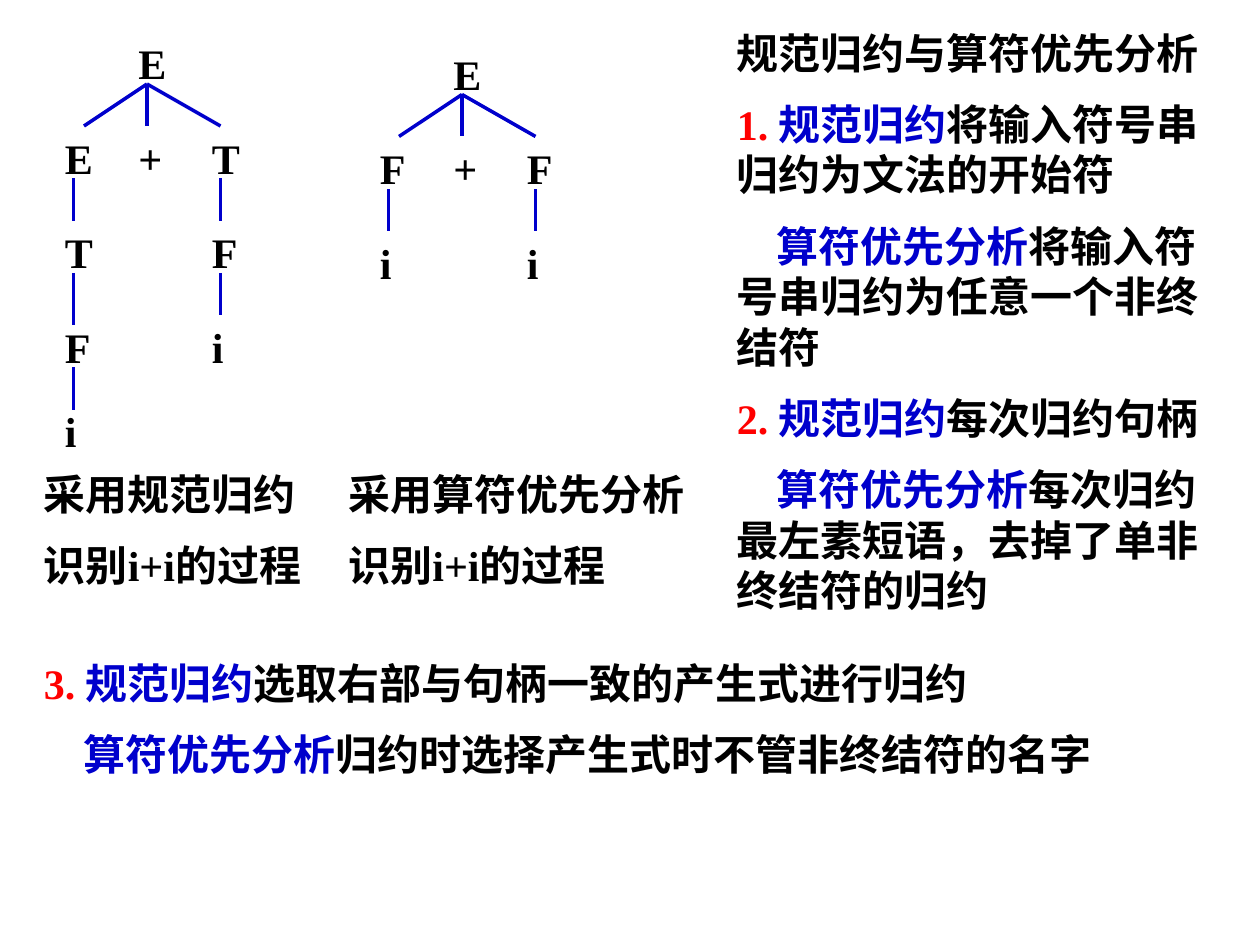
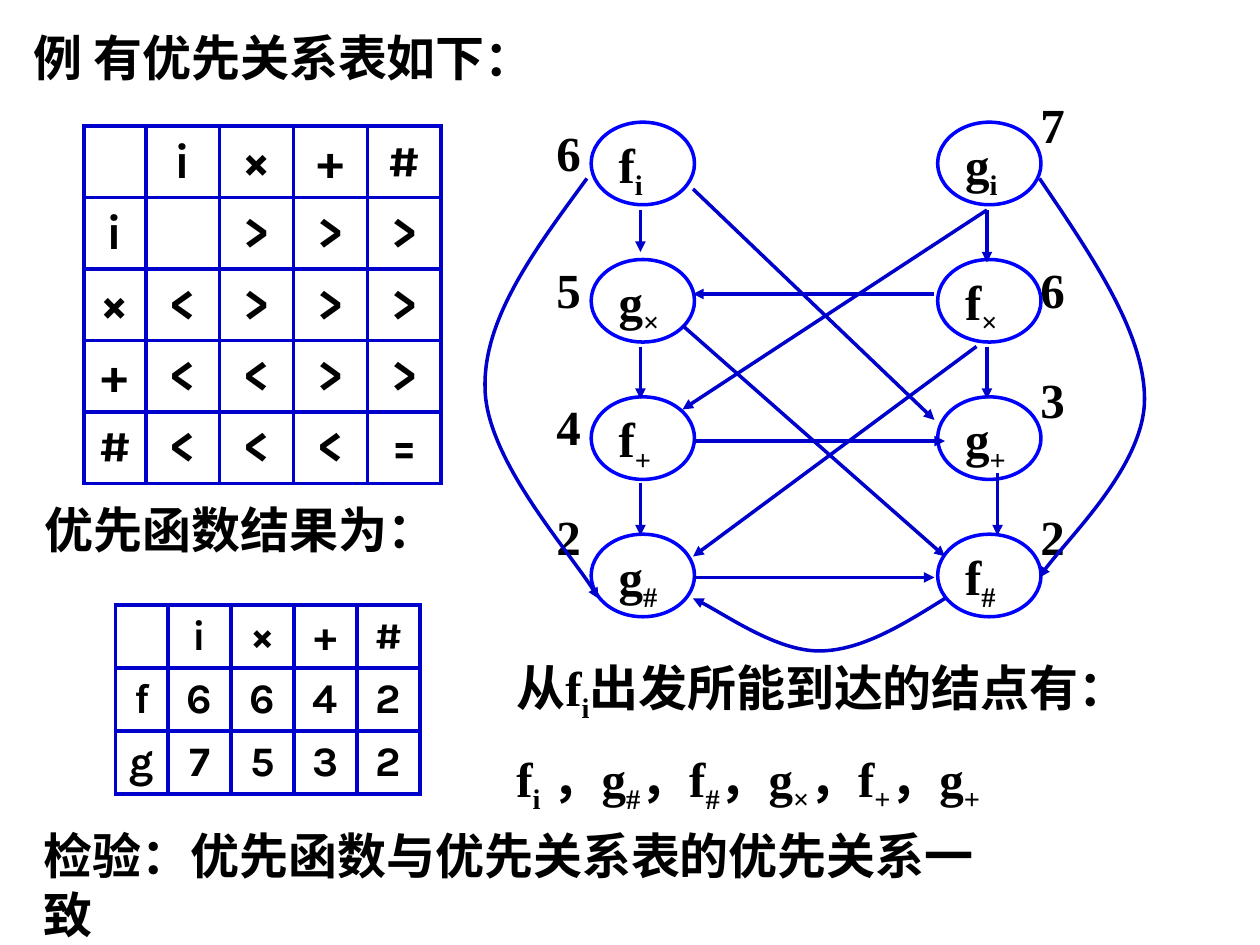
from dataclasses import dataclass
from typing import NamedTuple

from lxml.etree import SubElement
from pptx import Presentation
from pptx.dml.color import RGBColor
from pptx.enum.shapes import MSO_CONNECTOR, MSO_SHAPE
from pptx.enum.text import MSO_ANCHOR as Anchor, PP_ALIGN as Align
from pptx.oxml.ns import qn
from pptx.util import Inches, Pt


@dataclass(frozen=True)
class Theme:
    ink: str = "000000"
    accent: str = "0000CC"
    outline: str = "0000FF"
    number: str = "FF0000"
    serif: str = "Times New Roman"
    sans: str = "Arial"
    table_font: str = "Karla"
    body: int = 24
    large: int = 28
    stroke: float = 2
    border: float = 2.25


THEME = Theme()
COLUMNS, ROWS = 120, 90  # square grid, twelve units to the inch


class Point(NamedTuple):
    x: float
    y: float


class Box(NamedTuple):
    x: float
    y: float
    width: float
    height: float


class Run(NamedTuple):
    text: str
    color: str = THEME.ink
    subscript: bool = False
    font: str = THEME.serif


class Paragraph(NamedTuple):
    runs: list[Run]
    indent: float = 0


class Label(NamedTuple):
    text: str
    x: float
    y: float


class Segment(NamedTuple):
    start: Point
    end: Point


@dataclass(frozen=True)
class Tree:
    offset: Point
    labels: list[Label]
    branches: list[Segment]


@dataclass(frozen=True)
class Grid:
    x: float
    y: float
    first_width: float
    width: float
    row_height: float
    size: int
    rows: list[str]


def unit(count: float) -> int:
    return Inches(count / 12)


def place(box: Box) -> list[int]:
    return [unit(value) for value in box]


def plain(text: str) -> Paragraph:
    return Paragraph([Run(text)])


def point(number: str, subject: str, rest: str) -> Paragraph:
    """A comparison line: numbered, or indented when it has no number."""
    runs = [Run(subject, THEME.accent), Run(rest)]
    return Paragraph([Run(number, THEME.number)] + runs) if number else Paragraph(runs, 3.8)


def symbol(letter: str, index: str) -> list[Run]:
    return [Run(letter), Run(index, subscript=True)]


def write(frame, paragraphs: list[Paragraph], *, size: int = THEME.body,
          align=Align.LEFT, anchor=Anchor.TOP, inset: tuple | None = None) -> None:
    frame.word_wrap = True
    frame.vertical_anchor = anchor
    if inset is not None:
        frame.margin_left, frame.margin_top, frame.margin_right, frame.margin_bottom = map(unit, inset)
    for index, content in enumerate(paragraphs):
        paragraph = frame.add_paragraph() if index else frame.paragraphs[0]
        paragraph.alignment = align
        paragraph.space_before = Pt(size / 2 if index else 0)
        if content.indent:
            paragraph._p.get_or_add_pPr().set("indent", str(unit(content.indent)))
        for item in content.runs:
            run = paragraph.add_run()
            run.text = item.text
            run.font.name, run.font.size, run.font.bold = item.font, Pt(size), True
            run.font.color.rgb = RGBColor.from_string(item.color)
            if item.subscript:
                run._r.get_or_add_rPr().set("baseline", "-25000")


def add_text(slide, box: Box, paragraphs: list[Paragraph], **format_options) -> None:
    write(slide.shapes.add_textbox(*place(box)).text_frame, paragraphs, **format_options)


def style_line(shape, color: str = THEME.accent, arrow: bool = False) -> None:
    shape.line.color.rgb = RGBColor.from_string(color)
    shape.line.width = Pt(THEME.stroke)
    if arrow:
        SubElement(shape.line._get_or_add_ln(), qn("a:tailEnd"), type="triangle")


def add_segment(slide, segment: Segment, offset: Point = Point(0, 0), arrow: bool = False) -> None:
    ends = [unit(value + shift) for end in segment for value, shift in zip(end, offset)]
    connector = slide.shapes.add_connector(MSO_CONNECTOR.STRAIGHT, *ends)
    style_line(connector, arrow=arrow)
    SubElement(connector._element.spPr, qn("a:effectLst"))


def add_curve(slide, points: list[Point]) -> None:
    """Draw a chain of cubic curves: a start, then three points for each curve."""
    start, *others = [(unit(x), unit(y)) for x, y in points]
    builder = slide.shapes.build_freeform(*start)
    builder.add_line_segments(others, close=False)
    shape = builder.convert_to_shape()
    outline = shape._element.find(".//" + qn("a:path"))
    steps = outline.findall(qn("a:lnTo"))
    for first in range(0, len(steps), 3):
        curve = SubElement(outline, qn("a:cubicBezTo"))
        for step in steps[first:first + 3]:
            curve.append(step[0])
            outline.remove(step)
    shape.shadow.inherit = False
    shape.fill.background()
    style_line(shape, arrow=True)


def add_tree(slide, tree: Tree) -> None:
    for label in tree.labels:
        box = Box(label.x + tree.offset.x, label.y + tree.offset.y, 6, 6)
        add_text(slide, box, [plain(label.text)])
    for branch in tree.branches:
        add_segment(slide, branch, tree.offset)


def add_node(slide, box: Box, letter: str, index: str) -> None:
    shape = slide.shapes.add_shape(MSO_SHAPE.OVAL, *place(box))
    shape.shadow.inherit = False
    shape.fill.background()
    style_line(shape, THEME.outline)
    write(shape.text_frame, [Paragraph(symbol(letter, index))], size=THEME.large, inset=(1.17, 0, 0, 0))


def add_grid(slide, grid: Grid) -> None:
    rows = [row.split(" ") for row in grid.rows]
    widths = [grid.first_width] + [grid.width] * (len(rows[0]) - 1)
    box = Box(grid.x, grid.y, sum(widths), grid.row_height * len(rows))
    table = slide.shapes.add_table(len(rows), len(widths), *place(box)).table
    table.first_row = table.horz_banding = False
    for column, width in zip(table.columns, widths):
        column.width = unit(width)
    for row, texts in zip(table.rows, rows):
        row.height = unit(grid.row_height)
        for cell, text in zip(row.cells, texts):
            properties = cell._tc.get_or_add_tcPr()
            for side in ("a:lnL", "a:lnR", "a:lnT", "a:lnB"):
                line = SubElement(properties, qn(side), w=str(Pt(THEME.border)))
                SubElement(SubElement(line, qn("a:solidFill")), qn("a:srgbClr"), val=THEME.accent)
            cell.fill.background()
            cell.vertical_anchor = Anchor.MIDDLE
            if text != "_":
                write(cell.text_frame, [Paragraph([Run(text, font=THEME.table_font)])],
                      size=grid.size, align=Align.CENTER, anchor=Anchor.MIDDLE)


def segments(*ends: tuple) -> list[Segment]:
    return [Segment(Point(*end[:2]), Point(*end[2:])) for end in ends]


# Parse trees: both share the fork at the root and the first two stems
SHARED_BRANCHES = segments((14, 8, 8, 12), (14, 8, 14, 12), (14, 8, 21, 12),
                           (7, 17, 7, 21), (21, 17, 21, 21))
TREES = [
    Tree(Point(0, 0),
         [Label("E", 12, 3), Label("E", 5, 12), Label("+", 12, 12), Label("T", 19, 12),
          Label("T", 5, 21), Label("F", 5, 30), Label("i", 5, 38),
          Label("F", 19, 21), Label("i", 19, 30)],
         SHARED_BRANCHES + segments((7, 26, 7, 31), (21, 26, 21, 30), (7, 35, 7, 39))),
    Tree(Point(30, 1),
         [Label("E", 12, 3), Label("F", 5, 12), Label("+", 12, 12), Label("F", 19, 12),
          Label("i", 5, 21), Label("i", 19, 21)],
         SHARED_BRANCHES),
]

# Precedence graph: two columns of nodes with their function values
NODE_COLUMNS = {56.3: ["fi", "g×", "f+", "g#"], 89.3: ["gi", "f×", "g+", "f#"]}
NODE_TOP, NODE_STEP, NODE_WIDTH, NODE_HEIGHT = 11.64, 13.08, 9.84, 7.86
VALUES = [Label("6", 53, 11.64), Label("5", 53, 24.72), Label("4", 53, 37.8), Label("2", 53, 48.24),
          Label("7", 99.1, 9), Label("6", 99.1, 24.72), Label("3", 99.1, 35.16), Label("2", 99.1, 48.24)]
ARROWS = segments(
    (61, 20, 61, 24), (61, 33, 61, 38), (61, 46, 61, 51),
    (94, 20, 94, 25), (94, 33, 94, 38), (95, 45, 95, 51),
    (89, 28, 66, 28), (66, 42, 90, 42), (66, 55, 89, 55),
    (66, 18, 89, 40), (94, 20, 65, 39), (93, 33, 66, 53), (65, 31, 90, 53))
CURVES = [
    [Point(55.9, 17), Point(51, 23.7), Point(46, 30.3), Point(46.2, 37),
     Point(46.3, 43.7), Point(55.2, 53.6), Point(57, 57)],
    [Point(99, 17), Point(104, 24.4), Point(109, 31.7), Point(109, 38),
     Point(109, 44.3), Point(100.7, 52.2), Point(99, 55)],
    [Point(90, 57), Point(86, 59.5), Point(82, 62), Point(78, 62),
     Point(74, 62), Point(68, 57.8), Point(66, 57)],
]

# Tables: an underscore stands for an empty cell
GRIDS = [
    Grid(8, 12, 5.9, 7.03, 6.8, THEME.large,
         ["_ i × + #", "i _ > > >", "× < > > >", "+ < < > >", "# < < < ="]),
    Grid(11, 57.6, 5, 6, 6, THEME.body, ["_ i × + #", "f 6 6 4 2", "g 7 5 3 2"]),
]


def build_comparison(slide) -> None:
    for tree in TREES:
        add_tree(slide, tree)
    process = plain("识别i+i的过程")
    add_text(slide, Box(3, 44, 29, 13.2), [plain("采用规范归约"), process])
    add_text(slide, Box(32, 44, 39, 13.2), [plain("采用算符优先分析"), process])
    canonical, precedence = "规范归约", "算符优先分析"
    add_text(slide, Box(69, 2, 49, 58.7), [
        plain("规范归约与算符优先分析"),
        point("1. ", canonical, "将输入符号串归约为文法的开始符"),
        point("", precedence, "将输入符号串归约为任意一个非终结符"),
        point("2. ", canonical, "每次归约句柄"),
        point("", precedence, "每次归约最左素短语，去掉了单非终结符的归约")])
    add_text(slide, Box(3, 62, 114, 13.2), [
        point("3. ", canonical, "选取右部与句柄一致的产生式进行归约"),
        point("", precedence, "归约时选择产生式时不管非终结符的名字")])


def build_example(slide) -> None:
    title = Paragraph([Run("例 有"), Run("优先关系表如下：", font=THEME.sans)])
    add_text(slide, Box(2, 2, 54, 6.8), [title], size=THEME.large)
    # Graph
    for left, names in NODE_COLUMNS.items():
        for row, (letter, index) in enumerate(names):
            add_node(slide, Box(left, NODE_TOP + row * NODE_STEP, NODE_WIDTH, NODE_HEIGHT), letter, index)
    for value in VALUES:
        add_text(slide, Box(value.x, value.y, 3.3, 5.3), [plain(value.text)],
                 size=THEME.large, inset=(0, 0, 0, 0))
    for arrow in ARROWS:
        add_segment(slide, arrow, arrow=True)
    for curve in CURVES:
        add_curve(slide, curve)
    # Tables and conclusions
    for grid in GRIDS:
        add_grid(slide, grid)
    add_text(slide, Box(3.1, 47, 39.6, 6.8), [plain("优先函数结果为：")], size=THEME.large)
    add_text(slide, Box(3, 78, 95.2, 6.8), [plain("检验：优先函数与优先关系表的优先关系一致")],
             size=THEME.large)
    reached = symbol("f", "i")
    for separator, (letter, index) in zip([" ，"] + ["，"] * 4, ["g#", "f#", "g×", "f+", "g+"]):
        reached += symbol(separator + letter, index)
    add_text(slide, Box(48, 62, 66, 15.2), [
        Paragraph(symbol("从f", "i") + [Run("出发所能到达的结点有：")]),
        Paragraph(reached)], size=THEME.large)


def main() -> None:
    presentation = Presentation()
    presentation.slide_width, presentation.slide_height = unit(COLUMNS), unit(ROWS)
    for build in (build_comparison, build_example):
        build(presentation.slides.add_slide(presentation.slide_layouts[6]))
    presentation.save("out.pptx")


if __name__ == "__main__":
    main()
